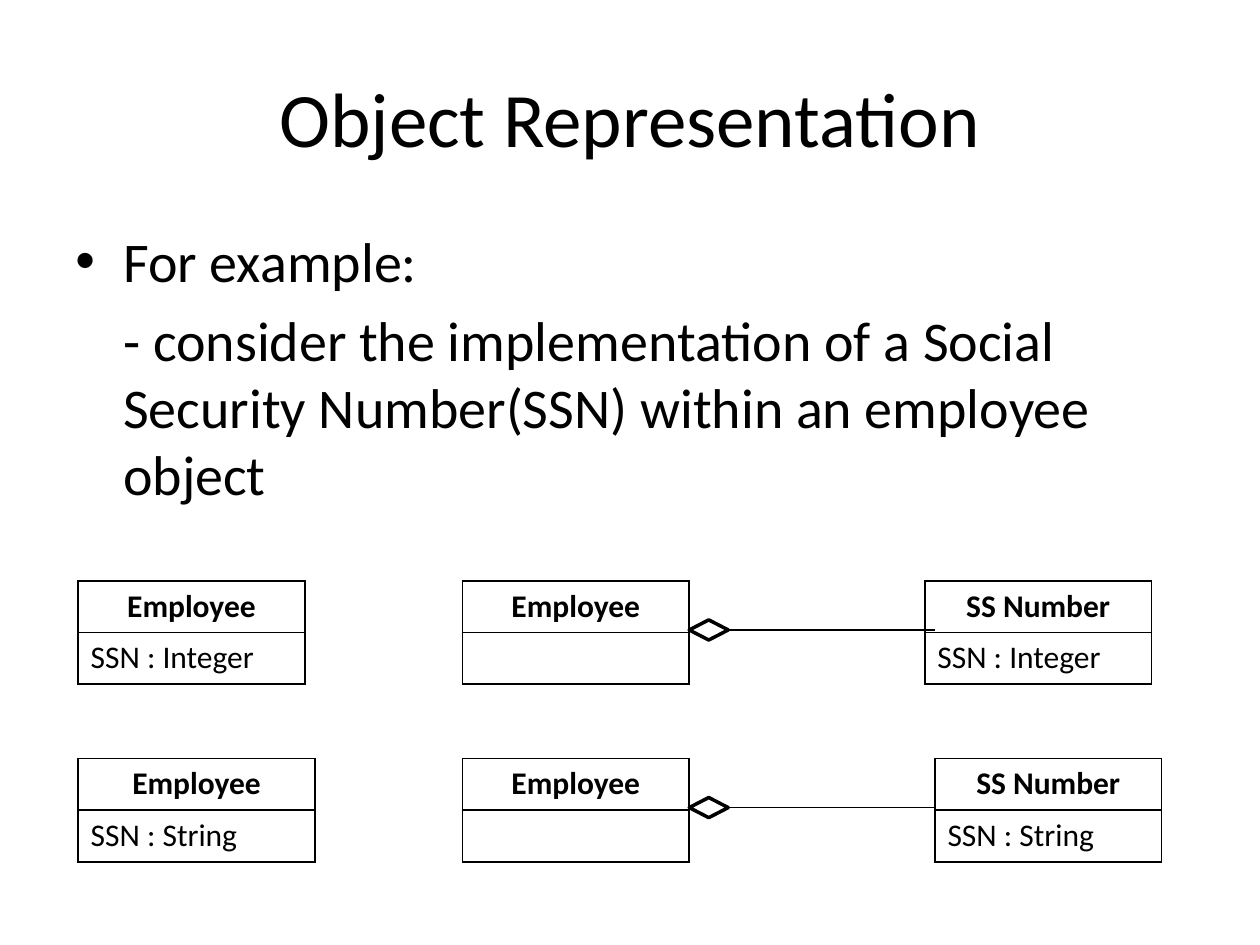
from lxml.etree import SubElement
from pptx import Presentation
from pptx.dml.color import RGBColor
from pptx.enum.shapes import MSO_CONNECTOR, MSO_SHAPE
from pptx.enum.text import MSO_ANCHOR, PP_ALIGN
from pptx.oxml.ns import qn
from pptx.util import Inches, Pt

# Content
TITLE = "Object Representation"
BODY = [
    ("For example:", "•"),
    ("- consider the implementation of a Social Security Number(SSN) "
     "within an employee object", None),
]
# (class name, attribute, left, width) for each row of the diagram
DIAGRAM_ROWS = [
    (4.61, [("Employee", "SSN : Integer", 0.62, 1.8),
            ("Employee", "", 3.67, 1.8),
            ("SS Number", "SSN : Integer", 7.34, 1.8)]),
    (6.02, [("Employee", "SSN : String", 0.62, 1.88),
            ("Employee", "", 3.67, 1.8),
            ("SS Number", "SSN : String", 7.42, 1.8)]),
]

# Format
COLORS = {"ink": "000000", "paper": "FFFFFF"}
FONT = "Calibri"
TITLE_FONT = {"size": Pt(44)}
BODY_FONT = {"size": Pt(32)}
NAME_FONT = {"size": Pt(18), "bold": True}
ATTRIBUTE_FONT = {"size": Pt(18), "bold": False}
CELL_HEIGHT = 0.41
INDENT = 0.38
DIAMOND_LEFT, DIAMOND_WIDTH, DIAMOND_HEIGHT = 5.47, 0.31, 0.16
LINK_DROP, LINK_END = 0.39, 7.42


def color(name):
    return RGBColor.from_string(COLORS[name])


def inches(*lengths):
    return [Inches(length) for length in lengths]


def style_font(font, values):
    for name, value in {"name": FONT, **values}.items():
        setattr(font, name, value)
    font.color.rgb = color("ink")


def add_text_box(page, place, anchor):
    frame = page.shapes.add_textbox(*inches(*place)).text_frame
    frame.word_wrap = True
    frame.vertical_anchor = anchor
    return frame


def indent(para, bullet):
    props = para._p.get_or_add_pPr()
    props.set("marL", str(Inches(INDENT)))
    props.set("indent", str(-Inches(INDENT) if bullet else 0))
    if bullet:
        SubElement(props, qn("a:buFont"), typeface="Arial")
        SubElement(props, qn("a:buChar"), char=bullet)
    else:
        SubElement(props, qn("a:buNone"))


def add_borders(cell):
    props = cell._tc.get_or_add_tcPr()
    for position, side in enumerate(("a:lnL", "a:lnR", "a:lnT", "a:lnB")):
        border = props.makeelement(qn(side), {"w": str(Pt(1))})
        fill = SubElement(border, qn("a:solidFill"))
        SubElement(fill, qn("a:srgbClr"), val=COLORS["ink"])
        props.insert(position, border)


def add_class_box(page, top, name, attribute, left, width):
    frame = page.shapes.add_table(2, 1, *inches(left, top, width, 2 * CELL_HEIGHT))
    table = frame.table
    parts = [(name, NAME_FONT, PP_ALIGN.CENTER),
             (attribute, ATTRIBUTE_FONT, PP_ALIGN.LEFT)]
    for row, (text, font, align) in enumerate(parts):
        table.rows[row].height = Inches(CELL_HEIGHT)
        cell = table.cell(row, 0)
        cell.text = text
        cell.fill.solid()
        cell.fill.fore_color.rgb = color("paper")
        add_borders(cell)
        para = cell.text_frame.paragraphs[0]
        para.alignment = align
        style_font(para.font, font)


def add_aggregation(page, middle):
    diamond = page.shapes.add_shape(
        MSO_SHAPE.DIAMOND,
        *inches(DIAMOND_LEFT, middle - DIAMOND_HEIGHT / 2, DIAMOND_WIDTH, DIAMOND_HEIGHT))
    diamond.shadow.inherit = False
    diamond.fill.solid()
    diamond.fill.fore_color.rgb = color("paper")
    link = page.shapes.add_connector(
        MSO_CONNECTOR.STRAIGHT,
        *inches(DIAMOND_LEFT + DIAMOND_WIDTH, middle, LINK_END, middle))
    for shape, width in ((diamond, 2), (link, 0.75)):
        shape.line.color.rgb = color("ink")
        shape.line.width = Pt(width)
    SubElement(link._element.spPr, qn("a:effectLst"))


def main():
    deck = Presentation()
    deck.slide_width, deck.slide_height = inches(10, 7.5)
    page = deck.slides.add_slide(deck.slide_layouts[6])

    # Title
    para = add_text_box(page, (0.5, 0.3, 9, 1.25), MSO_ANCHOR.MIDDLE).paragraphs[0]
    para.text = TITLE
    para.alignment = PP_ALIGN.CENTER
    style_font(para.font, TITLE_FONT)

    # Body
    frame = add_text_box(page, (0.5, 1.75, 9, 4.95), MSO_ANCHOR.TOP)
    for number, (text, bullet) in enumerate(BODY):
        para = frame.add_paragraph() if number else frame.paragraphs[0]
        para.text = text
        indent(para, bullet)
        para.space_before = Pt(6.4 if number else 0)
        style_font(para.font, BODY_FONT)

    # Class diagram
    for top, classes in DIAGRAM_ROWS:
        for class_box in classes:
            add_class_box(page, top, *class_box)
        add_aggregation(page, top + LINK_DROP)

    deck.save("out.pptx")


if __name__ == "__main__":
    main()
